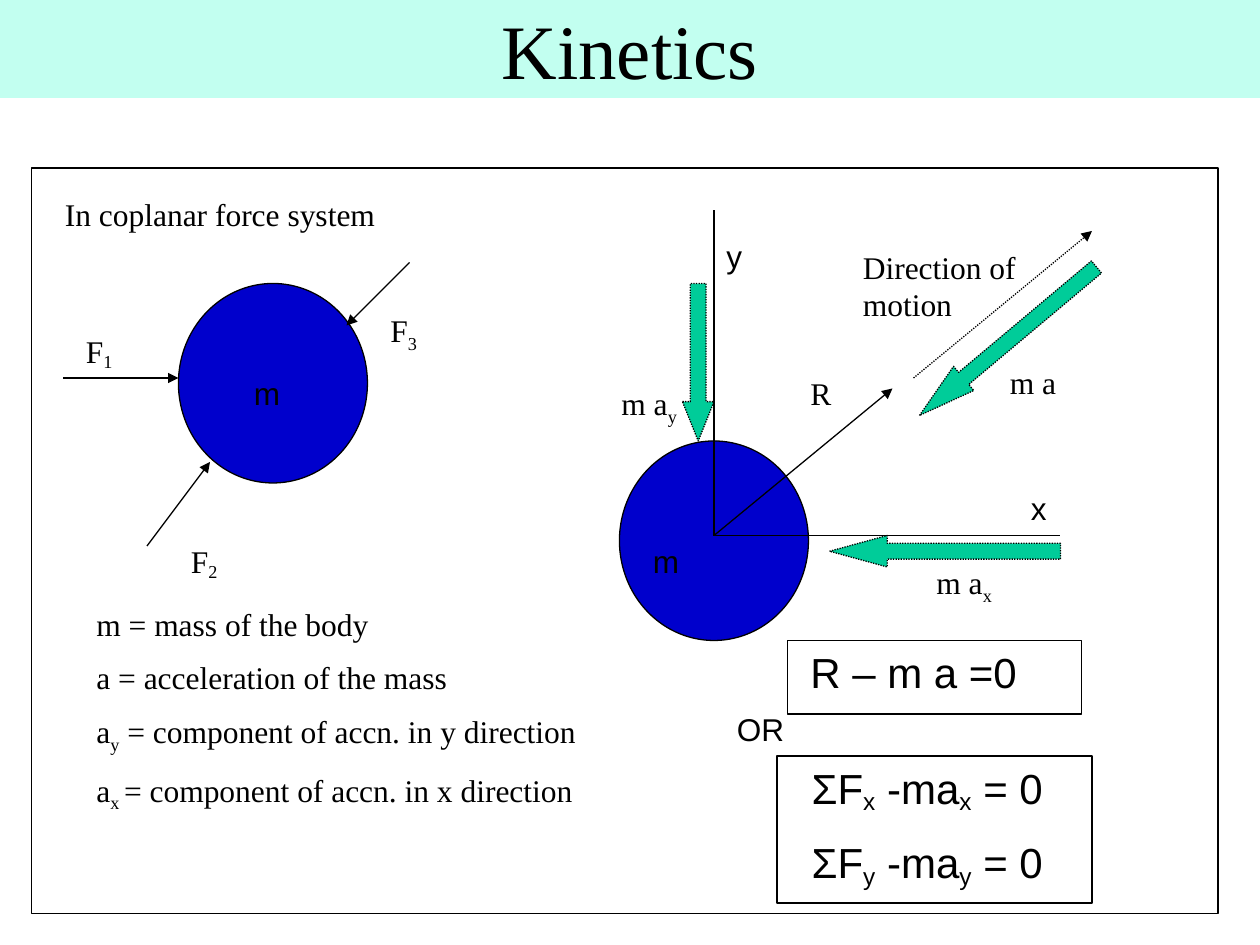
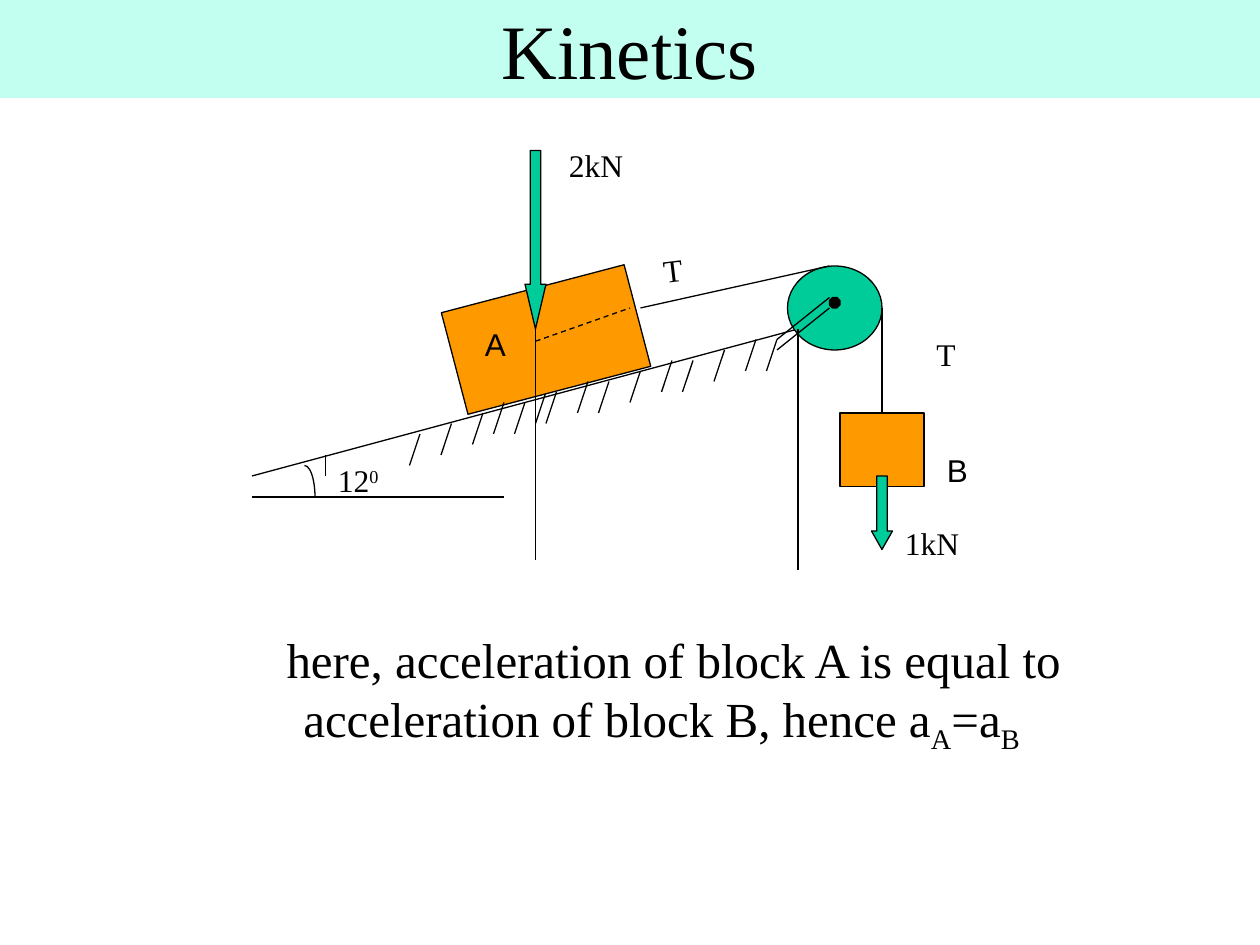
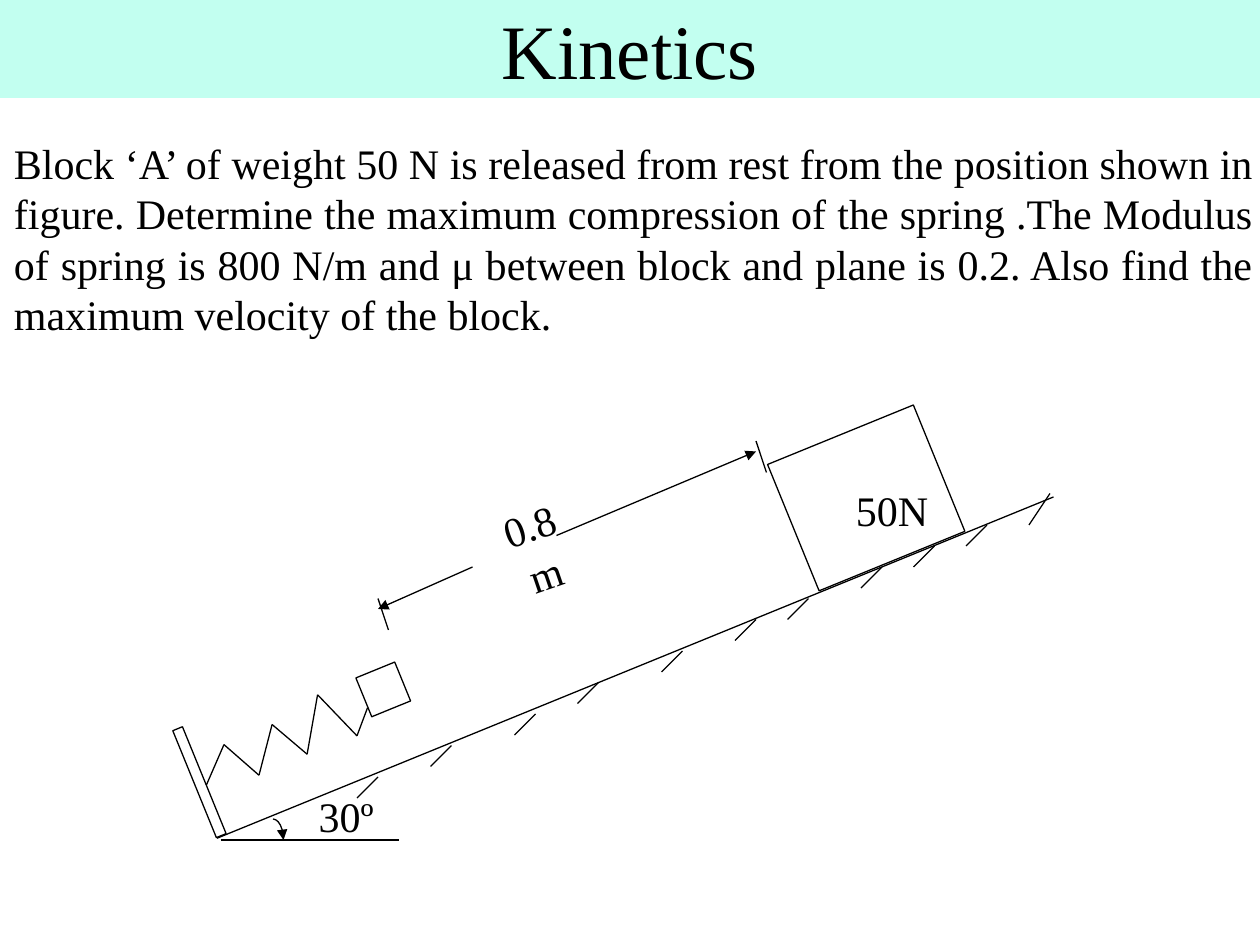
from lxml.etree import SubElement
from pptx import Presentation
from pptx.dml.color import RGBColor
from pptx.enum.dml import MSO_LINE
from pptx.enum.shapes import MSO_CONNECTOR, MSO_SHAPE
from pptx.enum.text import MSO_ANCHOR, PP_ALIGN
from pptx.oxml.ns import qn
from pptx.util import Pt

BLACK = "000000"
WHITE = "FFFFFF"
BAND = "C2FFF0"
BLUE = "0000CC"
GREEN = "00CC99"
ORANGE = "FF9900"
SERIF = "Times New Roman"
SANS = "Arial"
SUB = -25
SHALLOW_SUB = -16
SUPER = 30

# Upper ends of the strokes that mark solid ground
GROUND_BEHIND_BLOCK = [(240, 248), (312, 224), (318, 224)]
GROUND_IN_FRONT = [(258, 242), (276, 236), (288, 230), (300, 230),
                   (336, 218), (348, 218), (366, 212), (384, 206),
                   (396, 206), (414, 200), (432, 194), (444, 194)]
SPRING_GROUND = [(216, 444), (258, 426), (306, 408), (342, 390), (390, 372),
                 (432, 354), (462, 342), (504, 324), (534, 312), (564, 300)]
SPRING = [(118, 448.5), (128, 425.5), (148, 443), (155.5, 414),
          (175.5, 431), (181.5, 397), (204, 420.5), (210, 404.5)]


def color(hex_string):
    return RGBColor.from_string(hex_string)


def add_run(paragraph, text, size, font, baseline=0):
    run = paragraph.add_run()
    run.text = text
    run.font.size = Pt(size)
    run.font.name = font
    run.font.color.rgb = color(BLACK)
    if baseline:
        run._r.get_or_add_rPr().set("baseline", str(baseline * 1000))


def add_titled_slide(prs, heading):
    slide = prs.slides.add_slide(prs.slide_layouts[5])
    title = slide.shapes.title
    title.left, title.top = Pt(0), Pt(0)
    title.width, title.height = prs.slide_width, Pt(56)
    title.fill.solid()
    title.fill.fore_color.rgb = color(BAND)
    title.text_frame.vertical_anchor = MSO_ANCHOR.MIDDLE
    paragraph = title.text_frame.paragraphs[0]
    paragraph.alignment = PP_ALIGN.CENTER
    add_run(paragraph, heading, 44, SERIF)
    return slide


def add_text(slide, left, top, width, *paragraphs, height=29, size=18,
             font=SERIF, align=PP_ALIGN.LEFT, inset=True, rotation=0,
             first_indent=0):
    """Each paragraph is a list of runs: plain strings or (text, baseline)."""
    box = slide.shapes.add_textbox(Pt(left), Pt(top), Pt(width), Pt(height))
    box.rotation = rotation
    frame = box.text_frame
    frame.word_wrap = True
    if not inset:
        frame.margin_left = frame.margin_right = 0
        frame.margin_top = frame.margin_bottom = 0
    for number, runs in enumerate(paragraphs):
        paragraph = frame.add_paragraph() if number else frame.paragraphs[0]
        paragraph.alignment = align
        if number:
            paragraph.space_before = Pt(size / 2)
        if first_indent:
            paragraph._p.get_or_add_pPr().set("indent", str(Pt(first_indent)))
        for part in runs:
            text, baseline = (part, 0) if isinstance(part, str) else part
            add_run(paragraph, text, size, font, baseline)


def style_line(shape, dash=None, arrow=False):
    shape.line.color.rgb = color(BLACK)
    shape.line.width = Pt(0.75)
    if dash:
        shape.line.dash_style = dash
    if arrow:
        outline = shape._element.spPr.find(qn("a:ln"))
        SubElement(outline, qn("a:tailEnd"), type="triangle")


def add_line(slide, start, end, dash=None, arrow=False):
    line = slide.shapes.add_connector(
        MSO_CONNECTOR.STRAIGHT, *(Pt(value) for value in (*start, *end)))
    style_line(line, dash, arrow)
    SubElement(line._element.spPr, qn("a:effectLst"))
    return line


def add_figure(slide, preset, left, top, width, height, fill=None,
               rotation=0, dash=None, arrow=False):
    figure = slide.shapes.add_shape(
        preset, Pt(left), Pt(top), Pt(width), Pt(height))
    figure.shadow.inherit = False
    figure.rotation = rotation
    if fill:
        figure.fill.solid()
        figure.fill.fore_color.rgb = color(fill)
    else:
        figure.fill.background()
    style_line(figure, dash, arrow)
    return figure


def add_block_arrow(slide, preset, left, top, width, height, head,
                    rotation=0, dash=None):
    """Green force arrow; head is the head length relative to its breadth."""
    force = add_figure(slide, preset, left, top, width, height, GREEN,
                       rotation, dash)
    force.adjustments[1] = head


def add_hatching(slide, tops, dx, dy):
    for x, y in tops:
        add_line(slide, (x, y), (x + dx, y + dy))


def build_force_system(prs):
    slide = add_titled_slide(prs, "Kinetics")
    dotted = MSO_LINE.ROUND_DOT
    add_figure(slide, MSO_SHAPE.RECTANGLE, 18, 96, 678, 426, WHITE)
    add_text(slide, 30, 108, 270, ["In coplanar force system"])

    for left, top in ((102, 162), (354, 252)):
        add_figure(slide, MSO_SHAPE.OVAL, left, top, 108, 114, BLUE)
    for start, end in (((234, 150), (198, 186)), ((84, 312), (120, 264)),
                       ((36, 216), (102, 216))):
        add_line(slide, start, end, arrow=True)
    add_text(slide, 216, 174, 60, ["F", ("3", SUB)])
    add_text(slide, 102, 306, 36, ["F", ("2", SHALLOW_SUB)])
    add_text(slide, 42, 186, 36, ["F", ("1", SHALLOW_SUB)])

    add_block_arrow(slide, MSO_SHAPE.LEFT_ARROW, 474, 306, 132, 18, 1.83,
                    dash=dotted)
    add_block_arrow(slide, MSO_SHAPE.DOWN_ARROW, 390, 162, 18, 90, 1.25,
                    dash=dotted)
    add_block_arrow(slide, MSO_SHAPE.LEFT_ARROW, 510, 186, 132, 18, 1.83,
                    rotation=320, dash=dotted)
    origin = (408, 306)
    add_line(slide, origin, (510, 222), arrow=True)
    add_line(slide, (522, 216), (624, 132), dotted, arrow=True)
    add_line(slide, origin, (408, 120))
    add_line(slide, origin, (606, 306))

    add_text(slide, 486, 138, 108, ["Direction of motion"], height=50)
    add_text(slide, 456, 210, 54, ["R"])
    add_text(slide, 570, 204, 60, ["m a"])
    add_text(slide, 528, 318, 78, ["m a", ("x", SUB)])
    add_text(slide, 348, 216, 60, ["m a", ("y", SUB)])
    for left, top, label in ((408, 132, "y"), (582, 276, "x"),
                             (138, 210, "m"), (366, 306, "m"),
                             (414, 402, "OR")):
        add_text(slide, left, top, 60, [label], font=SANS)

    add_text(slide, 48, 342, 330,
             ["m = mass of the body"],
             ["a = acceleration of the mass"],
             ["a", ("y", SUB), " = component of accn. in y direction"],
             ["a", ("x ", SUB), "= component of accn. in x direction"],
             height=127)

    add_figure(slide, MSO_SHAPE.RECTANGLE, 450, 366, 168, 42)
    add_text(slide, 456, 366, 180, ["R – m a =0"], height=36, size=24,
             font=SANS)
    add_figure(slide, MSO_SHAPE.RECTANGLE, 444, 432, 180, 84)
    add_text(slide, 450, 432, 153,
             *(["ΣF", (axis, SHALLOW_SUB), " -ma", (axis, SHALLOW_SUB), " = 0"]
               for axis in "xy"),
             height=79, size=24, font=SANS, align=PP_ALIGN.RIGHT)


def build_pulley(prs):
    slide = add_titled_slide(prs, "Kinetics")
    add_hatching(slide, GROUND_BEHIND_BLOCK, -6, 18)
    add_line(slide, (144, 272), (456, 188))
    add_line(slide, (144, 284), (288, 284))
    add_figure(slide, MSO_SHAPE.OVAL, 450, 152, 54, 48, GREEN)
    add_figure(slide, MSO_SHAPE.RECTANGLE, 258, 164, 108, 60, ORANGE,
               rotation=165.3)
    block_b = add_figure(slide, MSO_SHAPE.RECTANGLE, 480, 236, 48, 42, ORANGE)
    hanging_rope = add_line(slide, (504, 176), (504, 236))
    hanging_rope.end_connect(block_b, 0)
    add_line(slide, (306, 195), (360, 176), MSO_LINE.DASH)
    add_line(slide, (366, 176), (474, 152))
    add_hatching(slide, GROUND_IN_FRONT, -6, 18)

    add_line(slide, (186, 260), (186, 272))
    add_figure(slide, MSO_SHAPE.ARC, 168, 266, 12, 36)
    add_block_arrow(slide, MSO_SHAPE.DOWN_ARROW, 300, 86, 12, 102, 2.13)
    add_block_arrow(slide, MSO_SHAPE.DOWN_ARROW, 498, 272, 12, 42, 0.88)
    add_line(slide, (456, 188), (456, 326))
    add_line(slide, (306, 188), (306, 320))
    for y in (170, 176):
        add_line(slide, (474, y), (444, y + 24))
    add_figure(slide, MSO_SHAPE.OCTAGON, 474, 170, 6, 6, BLACK)

    add_text(slide, 528, 188, 54, ["T"])
    add_text(slide, 372, 140, 24, ["T"], rotation=353)
    add_text(slide, 186, 260, 48, ["12", ("0", SUPER)])
    add_text(slide, 510, 296, 54, ["1kN"])
    add_text(slide, 318, 80, 48, ["2kN"])
    add_text(slide, 270, 182, 30, ["A"], font=SANS)
    add_text(slide, 534, 254, 30, ["B"], font=SANS)
    add_text(slide, 102, 356, 552,
             ["here, acceleration of block A is equal to acceleration of "
              "block B, hence a", ("A", SUB), "=a", ("B", SUB)],
             height=74, size=28, align=PP_ALIGN.CENTER, first_indent=14)


def build_spring_problem(prs):
    slide = add_titled_slide(prs, "Kinetics")
    add_text(slide, 8, 78.5, 708,
             ["Block ‘A’ of weight 50 N is released from rest from the "
              "position shown in figure. Determine the maximum compression "
              "of the spring .The Modulus of spring is 800 N/m and μ between "
              "block and plane is 0.2. Also find the maximum velocity of "
              "the block."],
             height=117, size=24, align=PP_ALIGN.JUSTIFY, inset=False)

    add_line(slide, (124, 479), (602, 284))
    slope = 337.8
    add_figure(slide, MSO_SHAPE.RECTANGLE, 111, 414, 6, 66, WHITE, slope)
    for start, end in zip(SPRING, SPRING[1:]):
        add_line(slide, start, end)
    add_figure(slide, MSO_SHAPE.RECTANGLE, 207, 382, 24, 24, WHITE, slope)
    add_figure(slide, MSO_SHAPE.RECTANGLE, 450, 245.5, 90, 78, rotation=slope)
    add_hatching(slide, SPRING_GROUND, -12, 12)
    add_line(slide, (600, 282), (588, 300))

    add_line(slide, (270, 324), (216, 348), arrow=True)
    add_line(slide, (318, 306), (432, 258), arrow=True)
    add_hatching(slide, [(216, 342), (432, 252)], 6, 18)
    add_text(slide, 283, 285, 48, ["0.8m"], height=58, size=24,
             align=PP_ALIGN.CENTER, inset=False, rotation=341.1)
    add_text(slide, 489, 277, 54, ["50N"], size=24, inset=False)

    add_line(slide, (126, 480), (228, 480))
    add_figure(slide, MSO_SHAPE.ARC, 150, 468, 12, 24, arrow=True)
    add_text(slide, 182, 451.5, 48, ["30º"], size=24, inset=False)


def main():
    prs = Presentation()
    prs.slide_width, prs.slide_height = Pt(720), Pt(540)
    build_force_system(prs)
    build_pulley(prs)
    build_spring_problem(prs)
    prs.save("out.pptx")


if __name__ == "__main__":
    main()
